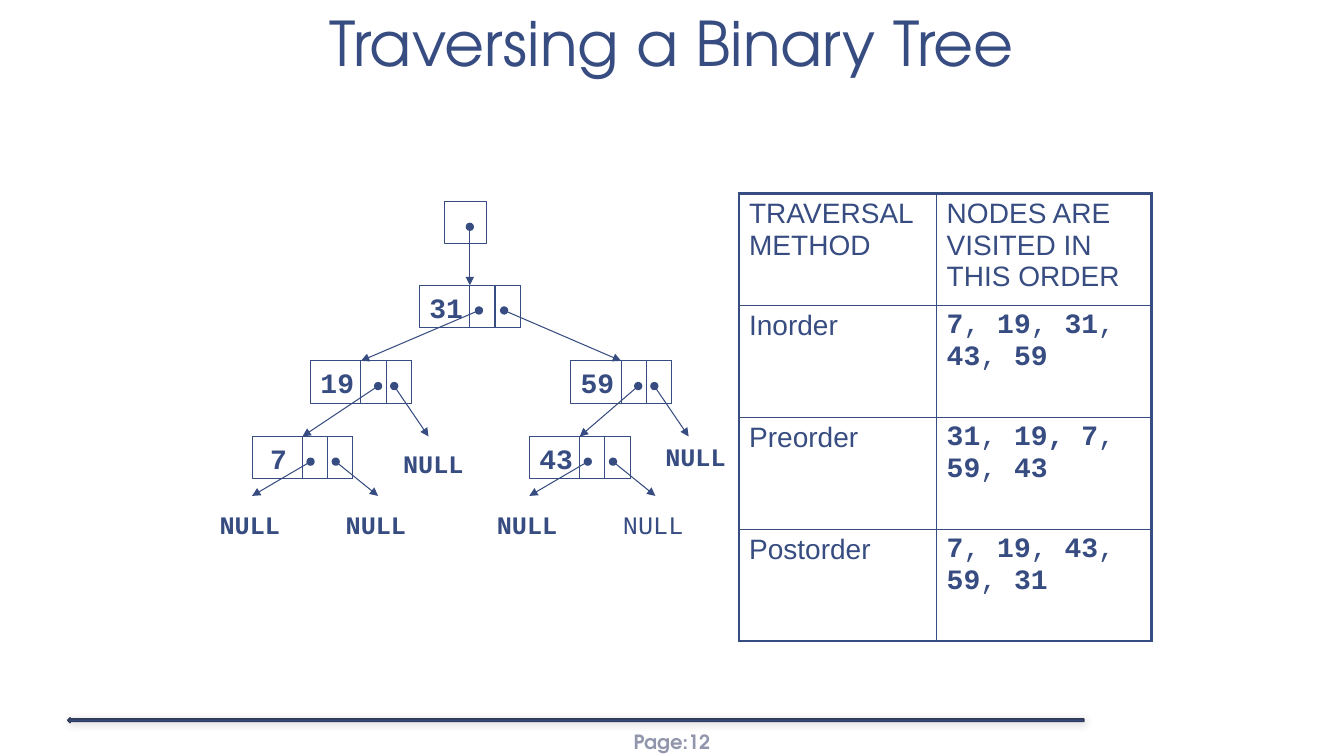
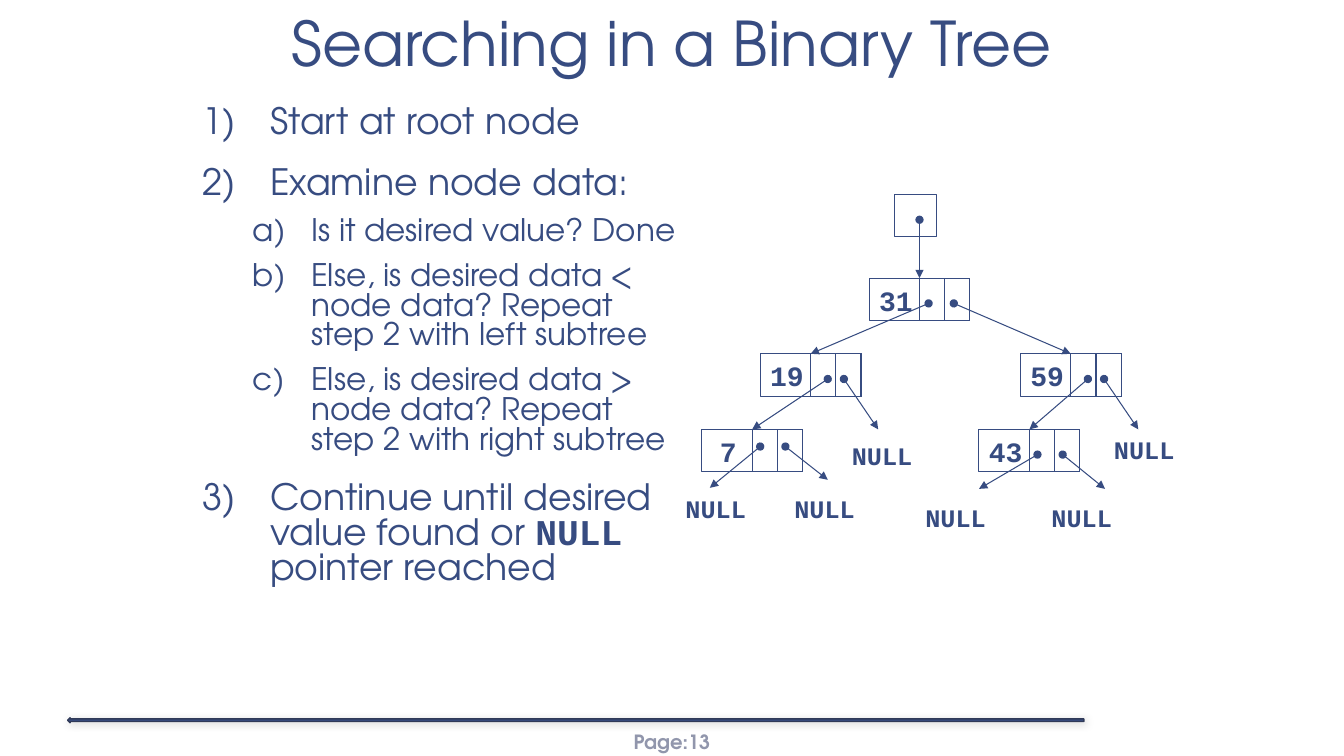
from lxml import etree
from pptx import Presentation
from pptx.dml.color import RGBColor
from pptx.enum.shapes import MSO_CONNECTOR, MSO_SHAPE
from pptx.enum.text import MSO_ANCHOR, MSO_AUTO_SIZE, PP_ALIGN
from pptx.oxml.ns import qn
from pptx.util import Emu, Pt

RECTANGLE, LEFT_ARROW = MSO_SHAPE.RECTANGLE, MSO_SHAPE.LEFT_ARROW
STRAIGHT = MSO_CONNECTOR.STRAIGHT
TOP, MIDDLE, BOTTOM = MSO_ANCHOR.TOP, MSO_ANCHOR.MIDDLE, MSO_ANCHOR.BOTTOM
LEFT, CENTER = PP_ALIGN.LEFT, PP_ALIGN.CENTER
FIT_SHAPE = MSO_AUTO_SIZE.SHAPE_TO_FIT_TEXT

EMU_PER_PX = 9144  # 100 px to the inch
SLIDE_WIDTH, SLIDE_HEIGHT = 1333, 750
NODE_WIDTH, CELL_WIDTH, NODE_HEIGHT = 100, 25, 42


def px(length):
    return Emu(length * EMU_PER_PX)


def color(hex_string):
    return RGBColor.from_string(hex_string)


def add_xml(parent, tag, **attributes):
    return etree.SubElement(parent, qn(tag), attributes)


class TreeDeck:
    NAVY, DARK, GRAY, BLACK = "374C81", "303A58", "9196AC", "000000"
    HEADING, BODY, CODE = "TeX Gyre Adventor", "Arial", "Courier New"

    def __init__(self):
        self.deck = Presentation()
        self.deck.slide_width = px(SLIDE_WIDTH)
        self.deck.slide_height = px(SLIDE_HEIGHT)
        self.slide = None

    # Slide frame: footer, rule and title
    def new_slide(self, title, number):
        self.slide = self.deck.slides.add_slide(self.deck.slide_layouts[6])
        footer = self.text_box(578, 716, 177, 40, (4, 2), MIDDLE)
        self.span(footer.paragraphs[0], f"Page:{number}", 14, self.HEADING,
                  bold=True, fill=self.GRAY)
        footer.paragraphs[0].alignment = CENTER
        self.footer_arrow()
        heading = self.text_box(0, 0, SLIDE_WIDTH, 86, (13, 7), BOTTOM)
        para = heading.paragraphs[0]
        para.alignment, para.line_spacing = CENTER, 0.85
        self.span(para, title, 44, self.HEADING)

    def footer_arrow(self):
        arrow = self.shape(LEFT_ARROW, 67, 712, 1008, 5, self.DARK, 1)
        arrow.fill.solid()
        arrow.fill.fore_color.rgb = color(self.NAVY)
        effects = arrow.element.spPr.find(qn("a:effectLst"))
        shadow = add_xml(effects, "a:outerShdw", blurRad=str(Pt(6)),
                         dist=str(Pt(1)), dir="2700000", rotWithShape="0")
        tint = add_xml(shadow, "a:srgbClr", val=self.BLACK)
        add_xml(tint, "a:alpha", val="20000")

    # Basic elements
    def shape(self, kind, left, top, width, height, line, weight):
        shape = self.slide.shapes.add_shape(
            kind, px(left), px(top), px(width), px(height))
        shape.shadow.inherit = False
        shape.fill.background()
        shape.line.color.rgb = color(line)
        shape.line.width = Pt(weight)
        return shape

    def rectangle(self, left, top, width):
        self.shape(RECTANGLE, left, top, width, NODE_HEIGHT, self.NAVY, 0.75)

    def text_box(self, left, top, width, height, insets=(10, 5), anchor=TOP):
        box = self.slide.shapes.add_textbox(
            px(left), px(top), px(width), px(height))
        frame = box.text_frame
        frame.word_wrap, frame.vertical_anchor = True, anchor
        frame.margin_left = frame.margin_right = px(insets[0])
        frame.margin_top = frame.margin_bottom = px(insets[1])
        return frame

    def span(self, para, text, size, font, bold=False, fill=NAVY):
        span = para.add_run()
        span.text = text
        span.font.size, span.font.name, span.font.bold = Pt(size), font, bold
        span.font.color.rgb = color(fill)

    def label(self, text, left, top, width, height, size, bold=True):
        frame = self.text_box(left, top, width, height)
        frame.word_wrap, frame.auto_size = False, FIT_SHAPE
        frame.paragraphs[0].alignment = LEFT
        self.span(frame.paragraphs[0], text, size, self.CODE, bold)

    def pointer(self, start_x, start_y, end_x, end_y):
        line = self.slide.shapes.add_connector(
            STRAIGHT, px(start_x), px(start_y), px(end_x), px(end_y))
        line.line.color.rgb = color(self.NAVY)
        line.line.width = Pt(0.75)
        properties = line.element.spPr
        outline = properties.find(qn("a:ln"))
        add_xml(outline, "a:headEnd", type="oval")
        add_xml(outline, "a:tailEnd", type="triangle")
        add_xml(properties, "a:effectLst")

    # Binary tree
    def tree(self, left, top, nodes, nulls):
        """Draw the tree from its root pointer box at left, top."""
        self.rectangle(left, top, NODE_HEIGHT)
        self.pointer(left + 25, top + 25, left + 25, top + 83)
        for value, (dx, dy, links) in nodes.items():
            x, y = left + dx, top + dy
            self.rectangle(x, y, NODE_WIDTH)
            for cell in (2, 3):
                self.rectangle(x + cell * CELL_WIDTH, y, CELL_WIDTH)
            for x1, y1, x2, y2 in links:
                self.pointer(x + x1, y + y1, x + x2, y + y2)
            if len(value) == 1:
                self.label(value, x + 8, y, 38, 43, 20)
            else:
                self.label(value, x, y, 55, 43, 20)
        for dx, dy, bold in nulls:
            self.label("NULL", left + dx, top + dy, 80, 40, 18, bold)

    # Numbered list
    def numbered_list(self, left, top, width, height, items):
        frame = self.text_box(left, top, width, height)
        for index, (level, spans) in enumerate(items):
            para = frame.add_paragraph() if index else frame.paragraphs[0]
            size, before, margin, hang, scheme = LIST_LEVELS[level]
            para.level, para.alignment = level, LEFT
            para.line_spacing, para.space_before = 0.8, Pt(before)
            properties = para._p.get_or_add_pPr()
            properties.set("marL", str(px(margin)))
            properties.set("indent", str(px(-hang)))
            add_xml(properties, "a:buAutoNum", type=scheme)
            for text, code in spans:
                font = self.CODE if code else self.HEADING
                self.span(para, text, size, font, bold=code)

    # Table
    def table(self, left, top, widths, row_height, rows):
        """Each cell is a list of (text, font, bold) spans."""
        frame = self.slide.shapes.add_table(
            len(rows), len(widths), px(left), px(top),
            px(sum(widths)), px(row_height * len(rows)))
        table = frame.table
        table.first_row = table.horz_banding = False
        for column, width in zip(table.columns, widths):
            column.width = px(width)
        for r, row in enumerate(rows):
            table.rows[r].height = px(row_height)
            for c, spans in enumerate(row):
                cell = table.cell(r, c)
                cell.fill.background()
                for text, font, bold in spans:
                    self.span(cell.text_frame.paragraphs[0], text, 20,
                              font, bold)
                outer = {"a:lnL": c == 0, "a:lnR": c == len(widths) - 1,
                         "a:lnT": r == 0, "a:lnB": r == len(rows) - 1}
                self.borders(cell, outer)

    def borders(self, cell, outer):
        properties = cell._tc.get_or_add_tcPr()
        for index, (tag, is_outer) in enumerate(outer.items()):
            line = add_xml(properties, tag, w=str(Pt(2.25 if is_outer else 1)))
            fill = add_xml(line, "a:solidFill")
            add_xml(fill, "a:srgbClr", val=self.NAVY)
            properties.insert(index, line)


# Size, space before, margin, hanging indent and numbering of each level
LIST_LEVELS = [(25.9, 18.7, 67, 67, "arabicParenR"),
               (22.2, 10.7, 108, 58, "alphaLcParenR")]

# Pointers, relative to the top left of their node
NULL_LINK = (83, 25, 117, 75)
LEAF_LINKS = [(58, 25, 0, 59), (83, 25, 125, 59)]
RAISED_LINKS = [(58, 17, 8, 58), (83, 17, 125, 50)]

# Nodes, relative to the root pointer box
NODES = {
    "31": (-25, 83, [(59, 25, -58, 75), (84, 25, 200, 75)]),
    "59": (125, 158, [(67, 25, 9, 75), NULL_LINK]),
    "19": (-133, 158, [(67, 25, -8, 75), NULL_LINK]),
    "7": (-191, 233, LEAF_LINKS),
    "43": (84, 233, LEAF_LINKS),
}
RAISED_NODES = {**NODES, "7": (-191, 233, RAISED_LINKS)}

TRAVERSAL_NULLS = [(-51, 240, True), (209, 233, True), (-233, 300, True),
                   (-108, 300, True), (42, 300, True), (167, 300, False)]
SEARCH_NULLS = [(-52, 239, True), (208, 233, True), (-217, 291, True),
                (-109, 291, True), (21, 300, True), (146, 300, True)]

HEADERS = ["TRAVERSAL METHOD", "NODES ARE VISITED IN THIS ORDER"]
ORDERS = {
    "Inorder": ["7", "19", "31", "43", "59"],
    "Preorder": ["31", "19, 7", "59", "43"],
    "Postorder": ["7", "19", "43", "59", "31"],
}

SEARCH_STEPS = [
    (0, [("Start at root node", False)]),
    (0, [("Examine node data:", False)]),
    (1, [("Is it desired value? Done", False)]),
    (1, [("Else, is desired data < node data? Repeat step 2 with left subtree",
          False)]),
    (1, [("Else, is desired data > node data? Repeat step 2 with right subtree",
          False)]),
    (0, [("Continue until desired value found or ", False), ("NULL", True),
         (" pointer reached", False)]),
]


def plain_cell(text):
    return [(text, TreeDeck.BODY, False)]


def order_cell(values):
    spans = []
    for value in values:
        if spans:
            spans.append((", ", TreeDeck.CODE, False))
        spans.append((value, TreeDeck.CODE, True))
    return spans


def main():
    show = TreeDeck()

    show.new_slide("Traversing a Binary Tree", 12)
    show.tree(441, 200, NODES, TRAVERSAL_NULLS)
    rows = [[plain_cell(text) for text in HEADERS]]
    rows += [[plain_cell(method), order_cell(values)]
             for method, values in ORDERS.items()]
    show.table(733, 192, [196, 213], 111, rows)

    show.new_slide("Searching in a Binary Tree", 13)
    show.numbered_list(191, 101, 492, 500, SEARCH_STEPS)
    show.tree(887, 193, RAISED_NODES, SEARCH_NULLS)

    show.deck.save("out.pptx")


if __name__ == "__main__":
    main()
